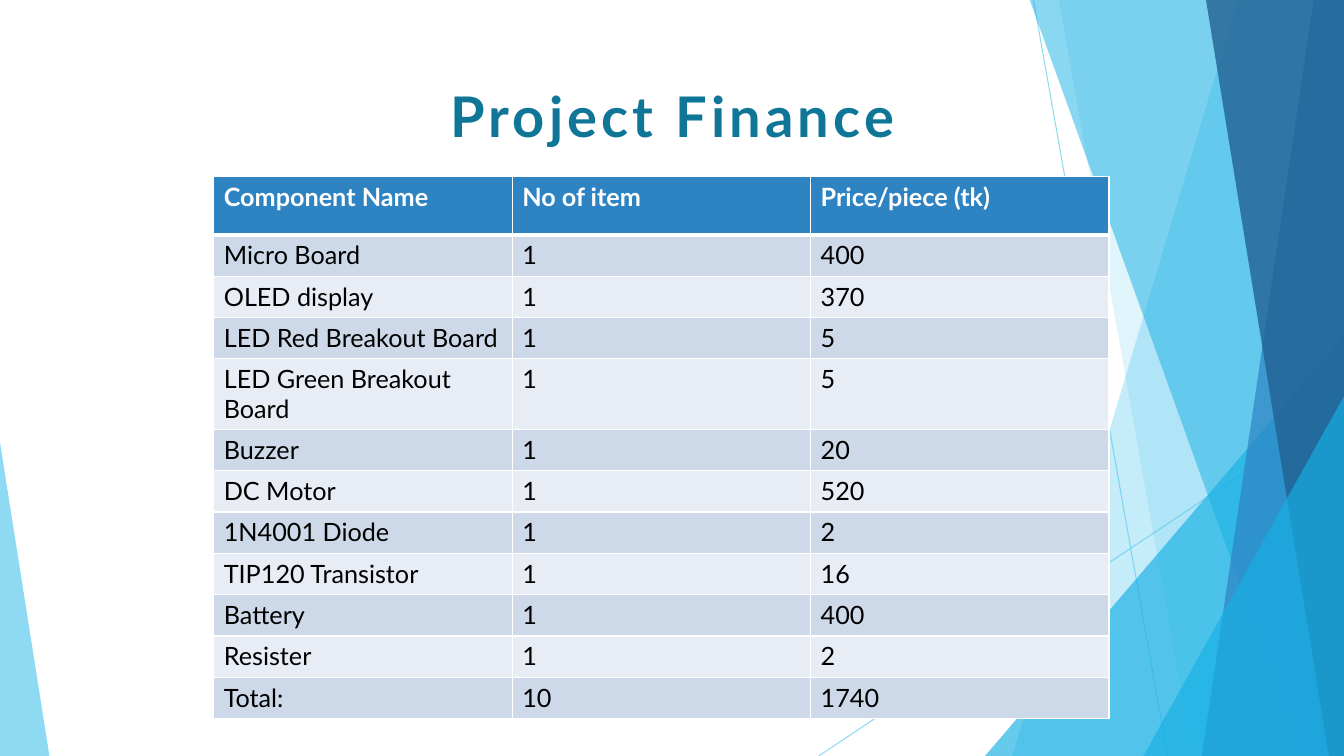
from dataclasses import dataclass

import pptx
import pptx.util
from lxml import etree
from pptx.dml.color import RGBColor
from pptx.enum.shapes import MSO_CONNECTOR, MSO_SHAPE
from pptx.enum.text import MSO_ANCHOR, PP_ALIGN
from pptx.oxml.ns import qn
from pptx.util import Inches


@dataclass(frozen=True)
class Theme:
    font: str = "Lato"
    title_size: int = 40
    table_size: int = 18
    title: str = "0F7698"
    sky: str = "5FCBEF"
    cyan: str = "17B0E4"
    blue: str = "2E83C3"
    navy: str = "226292"
    odd_row: str = "CDD9E9"
    even_row: str = "E8EDF5"
    white: str = "FFFFFF"
    black: str = "000000"


def set_opacity(shape, percent):
    for color in shape.element.spPr.iter(qn("a:srgbClr")):
        etree.SubElement(color, qn("a:alpha"), val=str(percent * 1000))


def style_font(run, size, color, bold):
    run.font.name = theme.font
    run.font.size = pptx.util.Pt(size)
    run.font.bold = bold
    run.font.color.rgb = RGBColor.from_string(color)


theme = Theme()
WIDTH, HEIGHT = 13.33, 7.5

deck = pptx.Presentation()
deck.slide_width, deck.slide_height = Inches(WIDTH), Inches(HEIGHT)
slide = deck.slides.add_slide(deck.slide_layouts[5])
shapes = slide.shapes

# Thin rays behind the facets
for x1, y1, x2, y2 in [(10.25, 0, 11.58, HEIGHT), (WIDTH, 4.03, 8.12, HEIGHT)]:
    ray = shapes.add_connector(MSO_CONNECTOR.STRAIGHT, Inches(x1), Inches(y1), Inches(x2), Inches(y2))
    ray.line.width = pptx.util.Pt(0.75)
    ray.line.color.rgb = RGBColor.from_string(theme.sky)
    set_opacity(ray, 70)
    etree.SubElement(ray.element.spPr, qn("a:effectLst"))

# A band runs to the right edge: top x, bottom x.
# A triangle stands on the bottom edge: left, top, width, apex position.
facets = [
    ("band", theme.sky, 36, (12.28, 10.04)),
    ("band", theme.sky, 20, (10.5, 11.83)),
    ("triangle", theme.cyan, 66, (9.77, 3.33, 3.56, 1)),
    ("band", theme.cyan, 50, (10.21, 12.91)),
    ("band", theme.blue, 70, (13.03, 11.92)),
    ("band", theme.navy, 80, (11.96, 13.18)),
    ("triangle", theme.cyan, 66, (11.34, 3.93, 1.99, 1)),
    ("triangle", theme.sky, 70, (0, 4.39, 0.49, 0)),
]
for kind, color, opacity, geometry in facets:
    if kind == "band":
        top_x, bottom_x = geometry
        outline = shapes.build_freeform(Inches(top_x), Inches(-0.01))
        corners = [(WIDTH, -0.01), (WIDTH, HEIGHT), (bottom_x, HEIGHT)]
        outline.add_line_segments([(Inches(x), Inches(y)) for x, y in corners], close=True)
        facet = outline.convert_to_shape()
    else:
        left, top, width, apex = geometry
        facet = shapes.add_shape(MSO_SHAPE.ISOSCELES_TRIANGLE, Inches(left), Inches(top),
                                 Inches(width), Inches(HEIGHT - top))
        facet.adjustments[0] = apex
    facet.fill.solid()
    facet.fill.fore_color.rgb = RGBColor.from_string(color)
    set_opacity(facet, opacity)
    facet.line.fill.background()
    facet.shadow.inherit = False

# Title, brought in front of the facets
title = shapes.title
title.element.getparent().append(title.element)
title.left, title.top, title.width, title.height = map(Inches, (0.58, 0.51, 12.18, 1.02))
title.text_frame.text = "Project Finance"
title.text_frame.vertical_anchor = MSO_ANCHOR.BOTTOM
heading = title.text_frame.paragraphs[0]
heading.alignment = PP_ALIGN.CENTER
style_font(heading.runs[0], theme.title_size, theme.title, True)
heading.runs[0].font._element.set("spc", "300")

# Cost table
costs = [
    ("Component Name", "No of item", "Price/piece (tk)"),
    ("Micro Board", "1", "400"),
    ("OLED display", "1", "370"),
    ("LED Red Breakout Board", "1", "5"),
    ("LED Green Breakout Board", "1", "5"),
    ("Buzzer", "1", "20"),
    ("DC Motor", "1", "520"),
    ("1N4001 Diode", "1", "2"),
    ("TIP120 Transistor", "1", "16"),
    ("Battery", "1", "400"),
    ("Resister", "1", "2"),
    ("Total:", "10", "1740"),
]
table = shapes.add_table(len(costs), 3, Inches(2.12), Inches(1.75), Inches(8.89), Inches(5.34)).table
for column in table.columns:
    column.width = Inches(2.96)

for r, record in enumerate(costs):
    is_header = r == 0
    table.rows[r].height = Inches(0.58 if is_header else 0.41)
    row_fill = theme.blue if is_header else theme.odd_row if r % 2 else theme.even_row
    borders = {"L": 1, "R": 1, "T": 3 if r == 1 else 1, "B": 3 if is_header else 1}
    for c, value in enumerate(record):
        cell = table.cell(r, c)
        cell.text_frame.text = value
        style_font(cell.text_frame.paragraphs[0].runs[0], theme.table_size,
                   theme.white if is_header else theme.black, is_header)
        cell_properties = cell._tc.get_or_add_tcPr()
        for side, points in borders.items():
            border = etree.SubElement(cell_properties, qn(f"a:ln{side}"), w=str(pptx.util.Pt(points)))
            border_fill = etree.SubElement(border, qn("a:solidFill"))
            etree.SubElement(border_fill, qn("a:srgbClr"), val=theme.white)
        cell.fill.solid()
        cell.fill.fore_color.rgb = RGBColor.from_string(row_fill)

deck.save("out.pptx")
